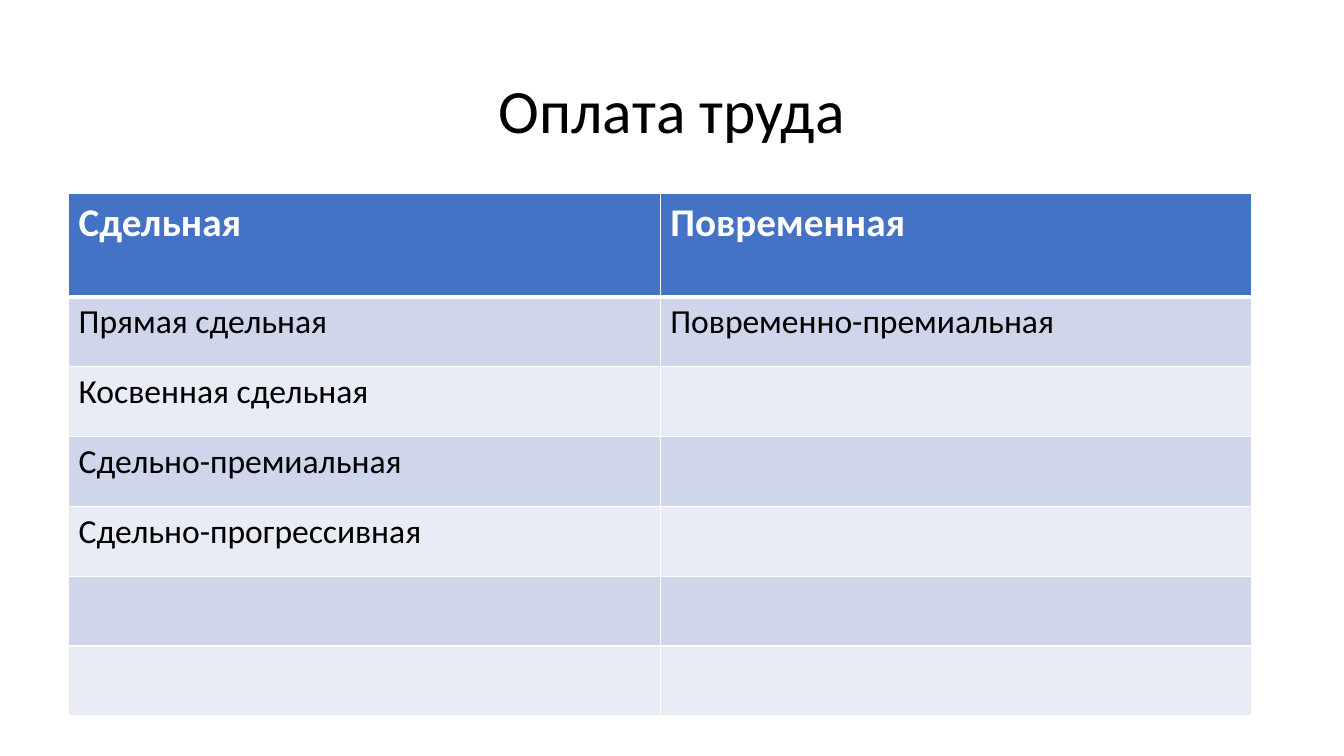
from dataclasses import dataclass

from lxml import etree
from pptx import Presentation
from pptx.dml.color import RGBColor
from pptx.enum.text import MSO_ANCHOR, PP_ALIGN
from pptx.oxml.ns import qn
from pptx.slide import Slide
from pptx.table import _Cell
from pptx.text.text import _Paragraph
from pptx.util import Cm, Pt

CENTER = PP_ALIGN.CENTER
MIDDLE = MSO_ANCHOR.MIDDLE
FONT = "Calibri"
COLORS = {
    "text": "000000",
    "white": "FFFFFF",
    "header": "4472C4",
    "odd": "CFD5EA",
    "even": "E9EBF5",
}
HEADER_HEIGHT = 2.6
ROW_HEIGHT = 1.76
COLUMN_WIDTH = 14.91
THIN, THICK = 1, 3


@dataclass(frozen=True)
class PayRow:
    piecework: str = ""
    time_based: str = ""


@dataclass(frozen=True)
class TextStyle:
    size: int
    color: str
    bold: bool = False


TITLE_STYLE = TextStyle(44, "text")
HEADER_STYLE = TextStyle(28, "white", True)
BODY_STYLE = TextStyle(24, "text")

PAY_ROWS = [
    PayRow("Сдельная", "Повременная"),
    PayRow("Прямая сдельная", "Повременно-премиальная"),
    PayRow("Косвенная сдельная"),
    PayRow("Сдельно-премиальная"),
    PayRow("Сдельно-прогрессивная"),
    PayRow(),
    PayRow(),
]


def write(para: _Paragraph, text: str, style: TextStyle) -> None:
    para.text = text
    for span in para.runs:
        span.font.name = FONT
        span.font.size = Pt(style.size)
        span.font.bold = style.bold
        span.font.color.rgb = RGBColor.from_string(COLORS[style.color])


def add_border(cell: _Cell, side: str, width: int) -> None:
    properties = cell._tc.get_or_add_tcPr()
    line = etree.SubElement(properties, qn(f"a:ln{side}"), w=str(Pt(width)))
    fill = etree.SubElement(line, qn("a:solidFill"))
    etree.SubElement(fill, qn("a:srgbClr"), val=COLORS["white"])


def draw_cell(cell: _Cell, text: str, row_index: int) -> None:
    is_header = row_index == 0
    widths = {
        "L": THIN,
        "R": THIN,
        "T": THICK if row_index == 1 else THIN,
        "B": THICK if is_header else THIN,
    }
    for side, width in widths.items():
        add_border(cell, side, width)
    band = "header" if is_header else "odd" if row_index % 2 else "even"
    cell.fill.solid()
    cell.fill.fore_color.rgb = RGBColor.from_string(COLORS[band])
    if text:
        style = HEADER_STYLE if is_header else BODY_STYLE
        write(cell.text_frame.paragraphs[0], text, style)


def draw_title(page: Slide, text: str) -> None:
    box = page.shapes.add_textbox(Cm(2.33), Cm(1.01), Cm(29.21), Cm(3.68))
    frame = box.text_frame
    frame.word_wrap = True
    frame.vertical_anchor = MIDDLE
    para = frame.paragraphs[0]
    para.alignment = CENTER
    para.line_spacing = 0.9
    write(para, text, TITLE_STYLE)


def draw_pay_table(page: Slide, pay_rows: list[PayRow]) -> None:
    height = HEADER_HEIGHT + ROW_HEIGHT * (len(pay_rows) - 1)
    table = page.shapes.add_table(
        len(pay_rows), 2, Cm(1.73), Cm(4.88), Cm(2 * COLUMN_WIDTH), Cm(height)
    ).table
    for column in table.columns:
        column.width = Cm(COLUMN_WIDTH)
    for row_index, pay_row in enumerate(pay_rows):
        table.rows[row_index].height = Cm(ROW_HEIGHT if row_index else HEADER_HEIGHT)
        for column_index, text in enumerate((pay_row.piecework, pay_row.time_based)):
            draw_cell(table.cell(row_index, column_index), text, row_index)


def main() -> None:
    deck = Presentation()
    deck.slide_width, deck.slide_height = Cm(33.87), Cm(19.05)
    page = deck.slides.add_slide(deck.slide_layouts[6])
    draw_title(page, "Оплата труда")
    draw_pay_table(page, PAY_ROWS)
    deck.save("out.pptx")


if __name__ == "__main__":
    main()
